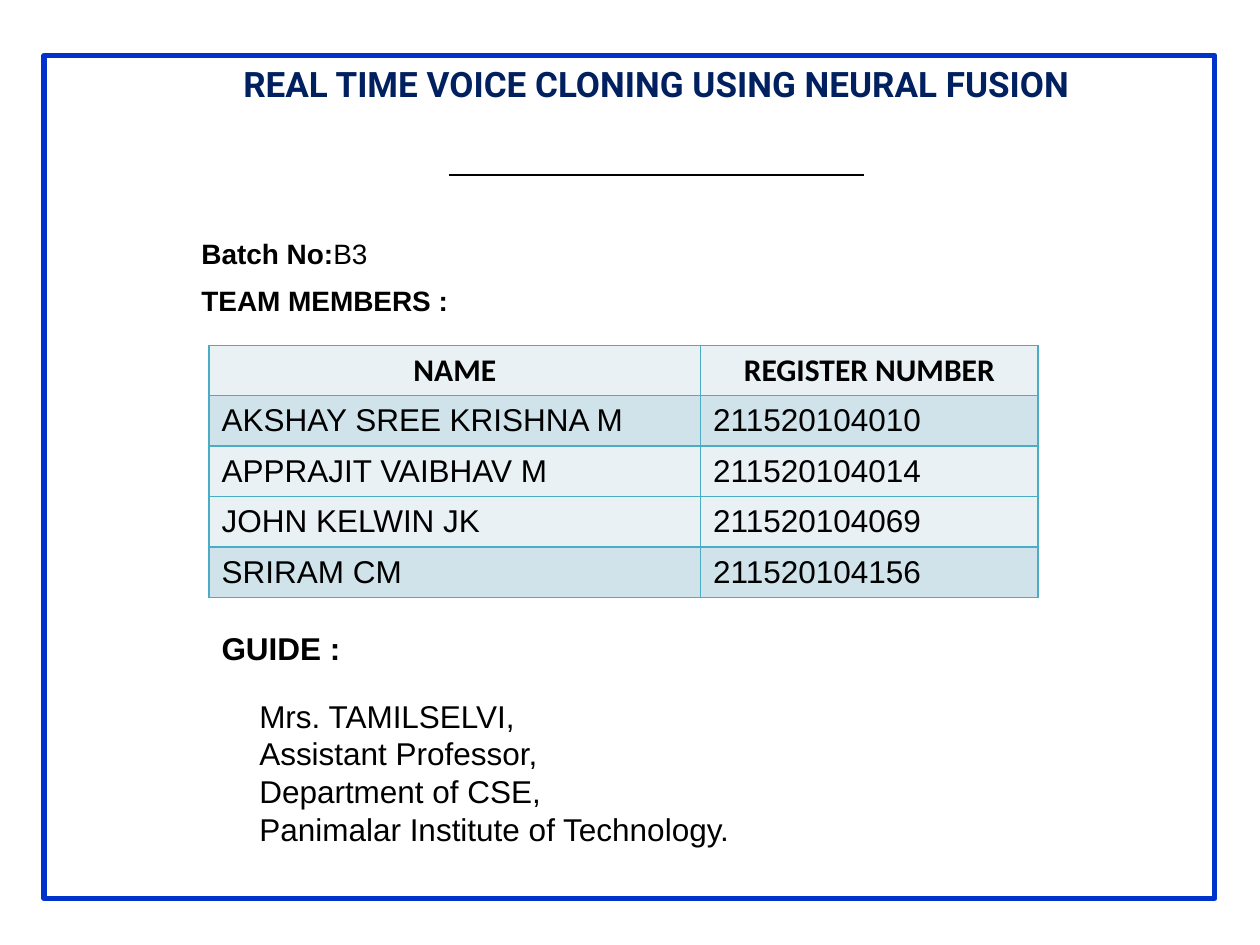
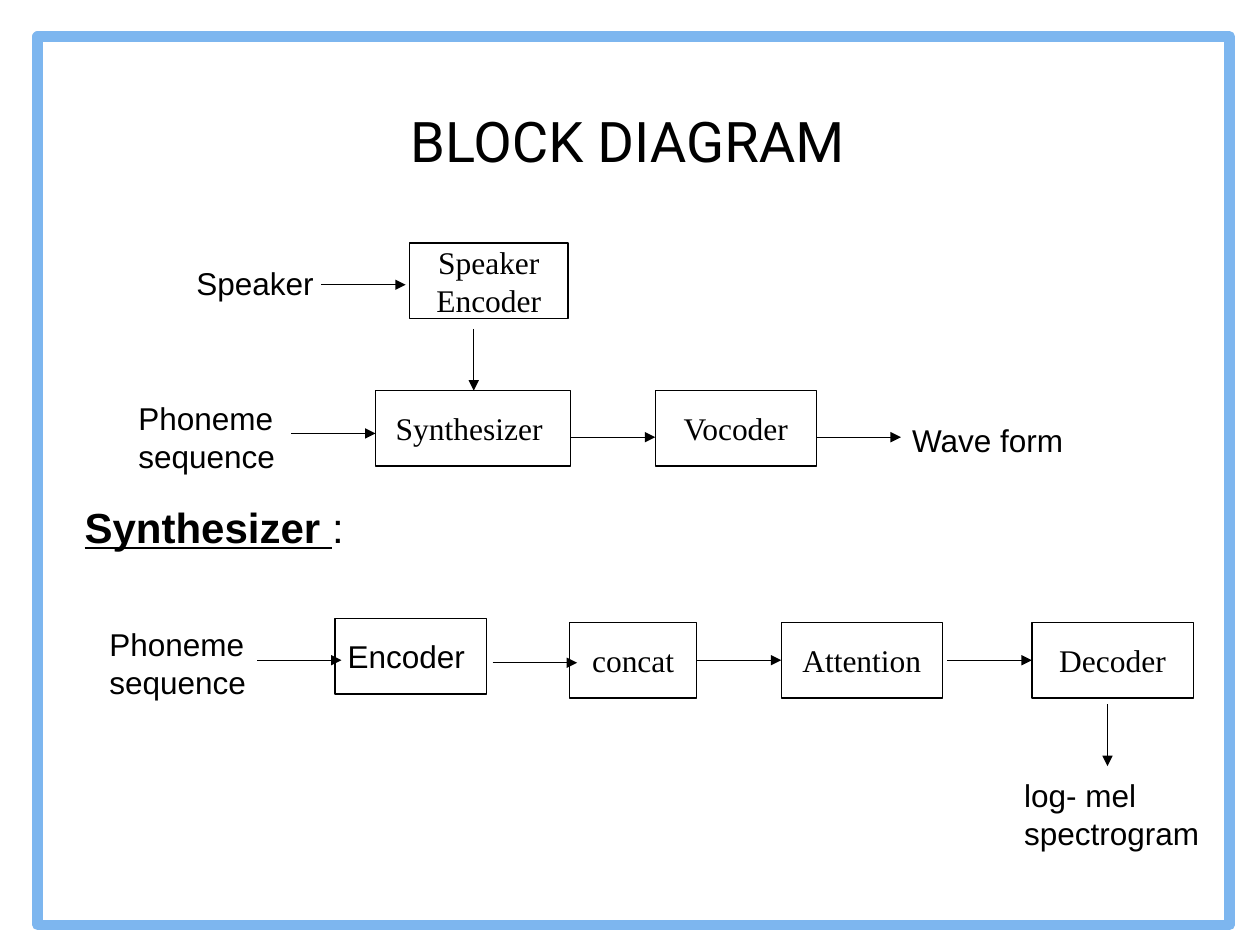
from dataclasses import dataclass, replace
from lxml.etree import SubElement
from pptx import Presentation
from pptx.dml.color import RGBColor
from pptx.enum.shapes import MSO_CONNECTOR, MSO_SHAPE
from pptx.enum.text import MSO_ANCHOR, PP_ALIGN
from pptx.oxml.ns import qn
from pptx.presentation import Presentation as PresentationType
from pptx.shapes.connector import Connector
from pptx.slide import Slide
from pptx.table import _Cell
from pptx.text.text import TextFrame, _Run
from pptx.util import Inches, Pt

COLORS = {
    "black": "000000",
    "white": "FFFFFF",
    "title": "002060",
    "cover_frame": "0033CC",
    "diagram_frame": "7DB6EF",
    "table_border": "4BACC6",
    "row_light": "E9F1F5",
    "row_dark": "D0E3EA",
}


@dataclass(frozen=True)
class Style:
    size: float = 18
    font: str = "Arial"
    color: str = "black"
    bold: bool = False
    underline: bool = False
    align: PP_ALIGN = PP_ALIGN.LEFT
    anchor: MSO_ANCHOR = MSO_ANCHOR.TOP


@dataclass(frozen=True)
class Area:
    left: float
    top: float
    width: float
    height: float

    def lengths(self) -> tuple:
        return tuple(Inches(value) for value in (self.left, self.top, self.width, self.height))


@dataclass(frozen=True)
class Label:
    area: Area
    text: str
    style: Style


@dataclass(frozen=True)
class Block:
    text: str
    left: float
    top: float
    width: float
    font: str = "Times New Roman"


@dataclass(frozen=True)
class Arrow:
    left: float
    top: float
    vertical: bool = False


BODY = Style()
LABEL = replace(BODY, size=16, bold=True)
TITLE = Style(font="Roboto", align=PP_ALIGN.CENTER, anchor=MSO_ANCHOR.MIDDLE)
HEADER = Style(font="Calibri", bold=True, align=PP_ALIGN.CENTER, anchor=MSO_ANCHOR.MIDDLE)
CELL = replace(BODY, anchor=MSO_ANCHOR.MIDDLE)
SECTION = replace(CELL, size=24, bold=True, underline=True, align=PP_ALIGN.CENTER)

BLOCK_HEIGHT = 0.6
ARROW_WIDTH = 0.67
ARROW_HEIGHT = 0.49
HEADER_HEIGHT = 0.4
ROW_HEIGHT = 0.38

COVER_LABELS = (
    Label(Area(1.33, 0.41, 7.76, 0.5), "REAL TIME VOICE CLONING USING NEURAL FUSION",
          replace(TITLE, size=20, color="title", bold=True)),
    Label(Area(1.5, 2.2, 2.79, 0.37), "TEAM MEMBERS :", LABEL),
    Label(Area(1.66, 4.94, 1.51, 0.4), "GUIDE :", replace(BODY, bold=True)),
    Label(Area(1.96, 5.48, 5.73, 1.32),
          "Mrs. TAMILSELVI,\nAssistant Professor,\nDepartment of CSE,\n"
          "Panimalar Institute of Technology.", BODY),
)

MEMBERS = (
    ("NAME", "REGISTER NUMBER"),
    ("AKSHAY SREE KRISHNA M", "211520104010"),
    ("APPRAJIT VAIBHAV M", "211520104014"),
    ("JOHN KELWIN JK", "211520104069"),
    ("SRIRAM CM", "211520104156"),
)
ROW_FILLS = ("row_light", "row_dark", "row_light", "row_light", "row_dark")
COLUMN_WIDTHS = (3.9, 2.68)

DIAGRAM_LABELS = (
    Label(Area(0.48, 0.46, 9, 1.3), "BLOCK DIAGRAM", replace(TITLE, size=32)),
    Label(Area(1.46, 2.05, 1.77, 0.4), "Speaker", BODY),
    Label(Area(1, 3.12, 1.55, 0.71), "Phoneme\nsequence", BODY),
    Label(Area(7.14, 3.29, 1.45, 0.4), "Wave form", BODY),
    Label(Area(0.77, 4.91, 1.55, 0.71), "Phoneme\nsequence", BODY),
    Label(Area(8.03, 6.11, 1.79, 0.71), "log- mel spectrogram", BODY),
)

BLOCKS = (
    Block("Speaker\nEncoder", 3.25, 1.93, 1.26),
    Block("Synthesizer ", 2.98, 3.1, 1.55),
    Block("Vocoder", 5.2, 3.1, 1.28),
    Block("Encoder ", 2.66, 4.91, 1.2, "Arial"),
    Block("concat", 4.52, 4.94, 1.01),
    Block("Attention", 6.2, 4.94, 1.28),
    Block("Decoder", 8.19, 4.94, 1.28),
)

ARROWS = (
    Arrow(2.55, 2.26),
    Arrow(3.76, 2.61, vertical=True),
    Arrow(2.31, 3.44),
    Arrow(4.53, 3.47),
    Arrow(6.48, 3.47),
    Arrow(2.04, 5.24),
    Arrow(3.91, 5.26),
    Arrow(5.53, 5.24),
    Arrow(7.52, 5.24),
    Arrow(8.79, 5.59, vertical=True),
)


def rgb(color: str) -> RGBColor:
    return RGBColor.from_string(COLORS[color])


def format_run(run: _Run, style: Style) -> None:
    run.font.size = Pt(style.size)
    run.font.name = style.font
    run.font.bold = style.bold
    run.font.underline = style.underline
    run.font.color.rgb = rgb(style.color)


def write_text(text_frame: TextFrame, text: str, style: Style) -> None:
    text_frame.text = text
    text_frame.vertical_anchor = style.anchor
    for paragraph in text_frame.paragraphs:
        paragraph.alignment = style.align
        for run in paragraph.runs:
            format_run(run, style)


def add_label(slide: Slide, label: Label) -> TextFrame:
    text_frame = slide.shapes.add_textbox(*label.area.lengths()).text_frame
    text_frame.word_wrap = True
    write_text(text_frame, label.text, label.style)
    return text_frame


def add_mixed_label(slide: Slide, label: Label, ending: str) -> None:
    text_frame = add_label(slide, label)
    run = text_frame.paragraphs[0].add_run()
    run.text = ending
    format_run(run, replace(label.style, bold=False, underline=False))


def add_frame(slide: Slide, area: Area, color: str, width: float) -> None:
    frame = slide.shapes.add_shape(MSO_SHAPE.RECTANGLE, *area.lengths())
    frame.shadow.inherit = False
    frame.fill.background()
    frame.line.color.rgb = rgb(color)
    frame.line.width = Pt(width)


def add_block(slide: Slide, block: Block) -> None:
    area = Area(block.left, block.top, block.width, BLOCK_HEIGHT)
    shape = slide.shapes.add_shape(MSO_SHAPE.RECTANGLE, *area.lengths())
    shape.shadow.inherit = False
    shape.fill.solid()
    shape.fill.fore_color.rgb = rgb("white")
    shape.line.color.rgb = rgb("black")
    shape.line.width = Pt(0.75)
    shape.text_frame.word_wrap = False
    style = replace(CELL, font=block.font, align=PP_ALIGN.CENTER)
    write_text(shape.text_frame, block.text, style)


def add_line(slide: Slide, area: Area, width: float) -> Connector:
    left, top, across, down = area.lengths()
    connector = slide.shapes.add_connector(
        MSO_CONNECTOR.STRAIGHT, left, top, left + across, top + down)
    connector.line.color.rgb = rgb("black")
    connector.line.width = Pt(width)
    SubElement(connector._element.spPr, qn("a:effectLst"))
    return connector


def add_arrow(slide: Slide, arrow: Arrow) -> None:
    across, down = (0, ARROW_HEIGHT) if arrow.vertical else (ARROW_WIDTH, 0)
    connector = add_line(slide, Area(arrow.left, arrow.top, across, down), 0.75)
    SubElement(connector.line._get_or_add_ln(), qn("a:tailEnd"), type="triangle")


def add_borders(cell: _Cell) -> None:
    properties = cell._tc.get_or_add_tcPr()
    for position, side in enumerate(("a:lnL", "a:lnR", "a:lnT", "a:lnB")):
        border = SubElement(properties, qn(side), w=str(Pt(1)))
        fill = SubElement(border, qn("a:solidFill"))
        SubElement(fill, qn("a:srgbClr"), val=COLORS["table_border"])
        properties.insert(position, border)


def add_member_table(slide: Slide) -> None:
    height = HEADER_HEIGHT + ROW_HEIGHT * (len(MEMBERS) - 1)
    area = Area(1.66, 2.74, sum(COLUMN_WIDTHS), height)
    table = slide.shapes.add_table(len(MEMBERS), len(COLUMN_WIDTHS), *area.lengths()).table
    for column, width in zip(table.columns, COLUMN_WIDTHS):
        column.width = Inches(width)
    for index, (row, values, color) in enumerate(zip(table.rows, MEMBERS, ROW_FILLS)):
        row.height = Inches(ROW_HEIGHT if index else HEADER_HEIGHT)
        for cell, value in zip(row.cells, values):
            style = CELL if index else HEADER
            write_text(cell.text_frame, value, style)
            cell.vertical_anchor = style.anchor
            cell.fill.solid()
            cell.fill.fore_color.rgb = rgb(color)
            add_borders(cell)


def add_slide(presentation: PresentationType, labels: tuple) -> Slide:
    slide = presentation.slides.add_slide(presentation.slide_layouts[6])
    for label in labels:
        add_label(slide, label)
    return slide


def build_cover(presentation: PresentationType) -> None:
    slide = add_slide(presentation, COVER_LABELS)
    add_mixed_label(slide, Label(Area(1.5, 1.83, 2.79, 0.37), "Batch No:", LABEL), "B3")
    add_line(slide, Area(3.56, 1.39, 3.3, 0), 1.25)
    add_member_table(slide)
    add_frame(slide, Area(0.35, 0.44, 9.29, 6.69), "cover_frame", 3)


def build_diagram(presentation: PresentationType) -> None:
    slide = add_slide(presentation, DIAGRAM_LABELS)
    add_mixed_label(slide, Label(Area(0.48, 3.89, 2.44, 0.58), "Synthesizer ", SECTION), ":")
    for block in BLOCKS:
        add_block(slide, block)
    for arrow in ARROWS:
        add_arrow(slide, arrow)
    add_frame(slide, Area(0.3, 0.29, 9.46, 7.05), "diagram_frame", 6)


def main() -> None:
    presentation = Presentation()
    presentation.slide_width = Inches(10)
    presentation.slide_height = Inches(7.5)
    build_cover(presentation)
    build_diagram(presentation)
    presentation.save("out.pptx")


if __name__ == "__main__":
    main()
